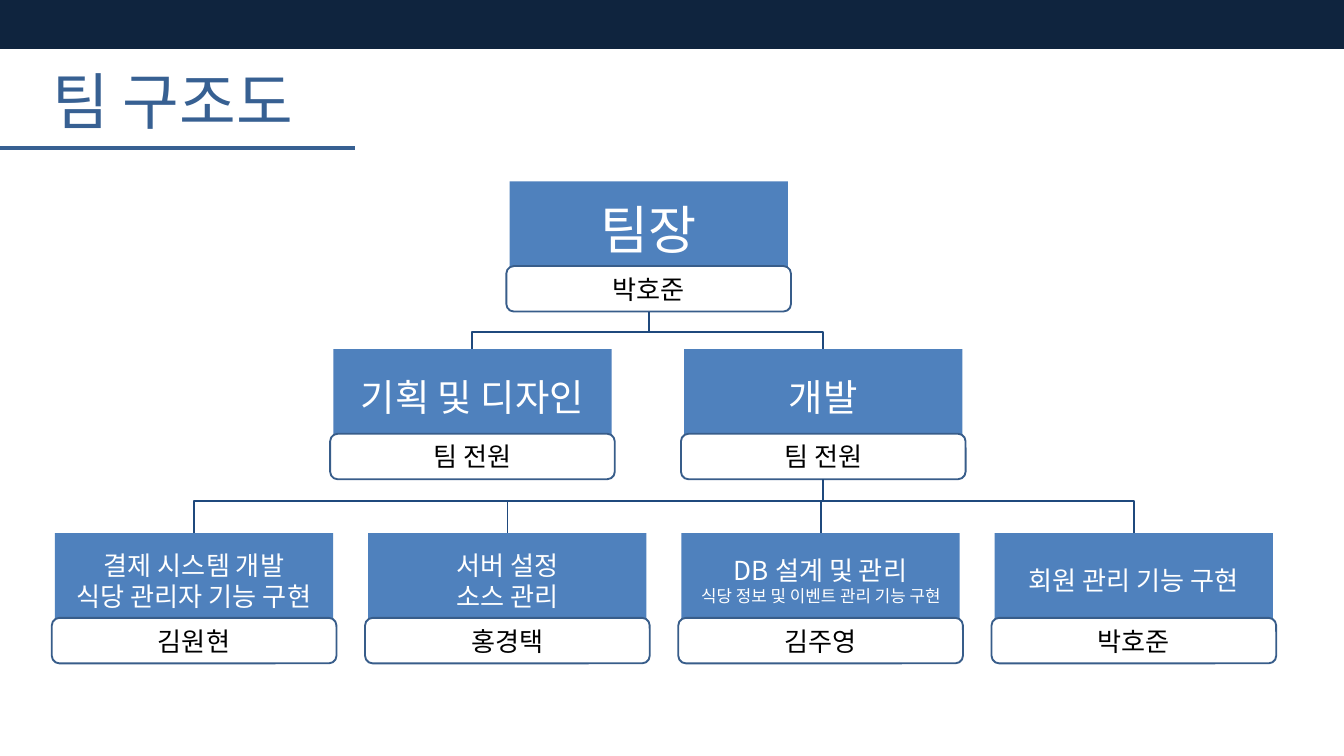
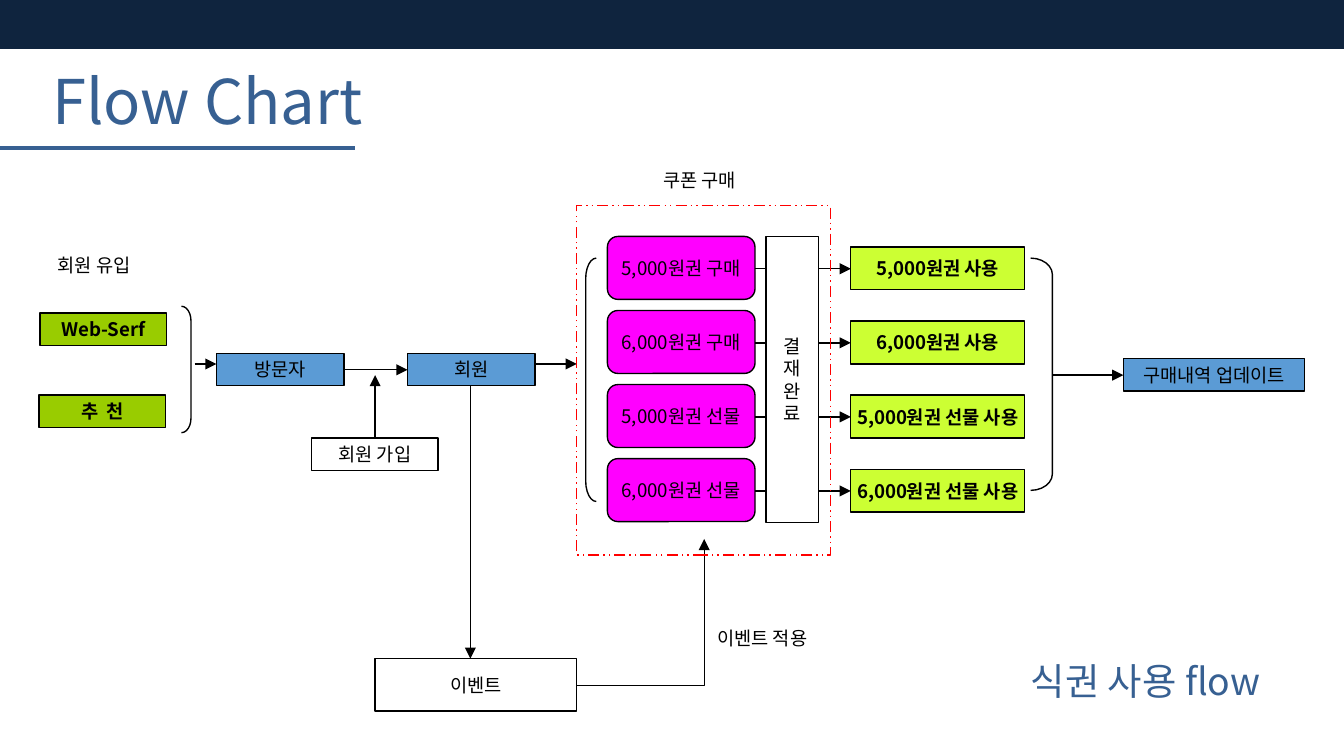
from dataclasses import dataclass
from typing import Optional

from pptx import Presentation
from pptx.dml.color import RGBColor as RGB
from pptx.enum.dml import MSO_LINE as DASH
from pptx.enum.shapes import MSO_CONNECTOR as CONN, MSO_SHAPE as SHAPE
from pptx.enum.text import MSO_ANCHOR as ANCHOR, MSO_AUTO_SIZE as AUTO, PP_ALIGN as ALIGN
from pptx.oxml.xmlchemy import OxmlElement
from pptx.util import Cm, Pt

COLORS = {
    "navy": "0F243E", "title": "376092", "white": "FFFFFF", "black": "000000",
    "blue": "4F81BD", "edge": "385D8A", "link": "1F497D", "green": "99CC00",
    "lime": "CCFF33", "sky": "5B9BD5", "pink": "FF00FF", "red": "FF0000",
}
FONT = "Noto Sans CJK KR"
WIDTH, HEIGHT = 25.4, 14.29
BAND = 0.93
TIGHT = {"margin_left": Cm(0.18), "margin_right": Cm(0.18),
         "margin_top": Cm(0.1), "margin_bottom": Cm(0.1)}


@dataclass
class Box:
    x: float
    y: float
    w: float
    h: float
    text: str = ""
    fill: Optional[str] = None
    line: Optional[str] = "black"
    shape: SHAPE = SHAPE.RECTANGLE
    size: float = 10
    bold: bool = False
    wrap: bool = False
    weight: float = 0.75
    adj: Optional[float] = None
    last_size: Optional[float] = None


@dataclass
class Line:
    x1: float
    y1: float
    x2: float
    y2: float
    color: str = "black"
    weight: float = 0.75
    arrow: bool = True
    bent: bool = False


@dataclass
class Role:
    x: float
    y: float
    title: str
    member: str
    size: float = 14
    last_size: Optional[float] = None

    @property
    def center(self) -> float:
        return self.x + ROLE_W / 2

    @property
    def bottom(self) -> float:
        return self.y + MEMBER_DY + MEMBER_H


ROLE_W, ROLE_H = 5.26, 1.78
MEMBER_W, MEMBER_H, MEMBER_DY = 5.38, 0.86, 1.6


def rgb(name: str) -> RGB:
    return RGB.from_string(COLORS[name])


def set_all(obj, values: dict) -> None:
    for key, value in values.items():
        setattr(obj, key, value)


def write(tf, text: str, size: float, color: str, align=ALIGN.LEFT,
          bold: bool = False, last_size: Optional[float] = None) -> None:
    rows = text.split("\n")
    for i, row in enumerate(rows):
        p = tf.paragraphs[0] if i == 0 else tf.add_paragraph()
        p.alignment = align
        r = p.add_run()
        r.text = row
        pt = last_size if last_size and i == len(rows) - 1 else size
        set_all(r.font, {"name": FONT, "size": Pt(pt), "bold": bold})
        r.font.color.rgb = rgb(color)
        ea = OxmlElement("a:ea")
        ea.set("typeface", FONT)
        r.font._element.append(ea)


def add_box(slide, b: Box):
    sp = slide.shapes.add_shape(b.shape, Cm(b.x), Cm(b.y), Cm(b.w), Cm(b.h))
    sp.shadow.inherit = False
    if b.adj is not None:
        sp.adjustments[0] = b.adj
    if b.fill:
        sp.fill.solid()
        sp.fill.fore_color.rgb = rgb(b.fill)
    else:
        sp.fill.background()
    if b.line:
        sp.line.color.rgb = rgb(b.line)
        sp.line.width = Pt(b.weight)
    else:
        sp.line.fill.background()
    if b.text:
        tf = sp.text_frame
        set_all(tf, {"word_wrap": b.wrap, "vertical_anchor": ANCHOR.MIDDLE})
        color = "white" if b.fill == "blue" else "black"
        write(tf, b.text, b.size, color, ALIGN.CENTER, b.bold, b.last_size)
    return sp


def add_line(slide, ln: Line) -> None:
    sp = slide.shapes.add_connector(CONN.ELBOW if ln.bent else CONN.STRAIGHT,
                                    Cm(ln.x1), Cm(ln.y1), Cm(ln.x2), Cm(ln.y2))
    sp.line.color.rgb = rgb(ln.color)
    sp.line.width = Pt(ln.weight)
    spPr = sp._element.spPr
    if ln.bent:
        spPr.prstGeom.set("prst", "bentConnector2")
    if ln.arrow:
        end = OxmlElement("a:tailEnd")
        end.set("type", "triangle")
        sp.line._get_or_add_ln().append(end)
    spPr.append(OxmlElement("a:effectLst"))


def add_caption(slide, x: float, y: float, w: float, text: str) -> None:
    sp = slide.shapes.add_textbox(Cm(x), Cm(y), Cm(w), Cm(0.69))
    set_all(sp.text_frame, {"word_wrap": False, "auto_size": AUTO.SHAPE_TO_FIT_TEXT})
    write(sp.text_frame, text, 10, "black")


def add_slide(prs, title: str):
    slide = prs.slides.add_slide(prs.slide_layouts[5])
    slide.background.fill.solid()
    slide.background.fill.fore_color.rgb = rgb("navy")
    body = add_box(slide, Box(0, BAND, WIDTH, HEIGHT - BAND, fill="white", line=None))
    add_line(slide, Line(-0.03, 2.79, 6.71, 2.79, "title", 2.25, arrow=False))
    sp = slide.shapes.title
    set_all(sp, {"left": Cm(0.81), "top": Cm(1.09), "width": Cm(8.2), "height": Cm(1.6)})
    set_all(sp.text_frame, {**TIGHT, "word_wrap": True, "vertical_anchor": ANCHOR.TOP,
                            "auto_size": AUTO.SHAPE_TO_FIT_TEXT})
    write(sp.text_frame, title, 33, "title")
    body._element.addnext(sp._element)
    return slide


def add_role(slide, role: Role) -> None:
    add_box(slide, Box(role.x, role.y, ROLE_W, ROLE_H, role.title, "blue", None,
                       size=role.size, wrap=True, last_size=role.last_size))
    add_box(slide, Box(role.x - (MEMBER_W - ROLE_W) / 2, role.y + MEMBER_DY,
                       MEMBER_W, MEMBER_H, role.member, "white", "edge",
                       SHAPE.ROUNDED_RECTANGLE, 14, wrap=True, weight=1))


def link_roles(slide, parent: Role, children: list[Role], rail: float) -> None:
    style = {"color": "link", "weight": 1, "arrow": False}
    hub = parent.center
    add_line(slide, Line(hub, parent.bottom, hub, rail, **style))
    for child in children:
        outer = child in (children[0], children[-1])
        start = hub if outer else child.center
        add_line(slide, Line(start, rail, child.center, child.y, bent=outer, **style))


def build_team(prs) -> None:
    slide = add_slide(prs, "팀 구조도")
    leader = Role(9.63, 3.43, "팀장", "박호준", 28)
    design = Role(6.3, 6.6, "기획 및 디자인", "팀 전원", 20)
    dev = Role(12.93, 6.6, "개발", "팀 전원", 20)
    tasks = [
        ("결제 시스템 개발\n식당 관리자 기능 구현", "김원현", None),
        ("서버 설정\n소스 관리", "홍경택", None),
        ("DB 설계 및 관리\n식당 정보 및 이벤트 관리 기능 구현", "김주영", 9),
        ("회원 관리 기능 구현", "박호준", None),
    ]
    team = [Role(1.04 + 5.92 * i, 10.08, title, member, last_size=last)
            for i, (title, member, last) in enumerate(tasks)]
    for role in [leader, design, dev, *team]:
        add_role(slide, role)
    link_roles(slide, leader, [design, dev], 6.27)
    link_roles(slide, dev, team, 9.47)


def build_flow(prs) -> None:
    slide = add_slide(prs, "Flow Chart")
    for ln in [
        Line(3.68, 6.88, 4.09, 6.88),
        Line(6.5, 6.99, 7.7, 6.99),
        Line(7.09, 8.48, 7.09, 7.09),
        Line(10.08, 6.88, 10.9, 6.88),
        Line(19.89, 7.09, 21.23, 7.09),
        Line(8.89, 7.29, 8.89, 12.45, weight=0.5),
        Line(10.9, 12.95, 13.31, 10.19, weight=0.5, bent=True),
    ]:
        add_line(slide, ln)

    coupons = ["5,000원권 구매", "6,000원권 구매", "5,000원권 선물", "6,000원권 선물"]
    uses = ["5,000원권 사용", "6,000원권 사용", "5,000원권 선물 사용", "6,000원권 선물 사용"]
    for i, (coupon, use) in enumerate(zip(coupons, uses)):
        dy = 1.4 * i
        add_box(slide, Box(11.48, 4.47 + dy, 2.79, 1.19, coupon, "pink",
                           shape=SHAPE.ROUNDED_RECTANGLE))
        add_box(slide, Box(16.08, 4.67 + dy, 3.28, 0.81, use, "lime", bold=True))
        add_line(slide, Line(14.27, 5.08 + dy, 16.08, 5.08 + dy))

    for b in [
        Box(0.76, 5.92, 2.39, 0.61, "Web-Serf", "green", bold=True),
        Box(0.74, 7.47, 2.39, 0.61, "추  천", "green", bold=True),
        Box(4.09, 6.68, 2.41, 0.61, "방문자", "sky"),
        Box(7.7, 6.68, 2.41, 0.61, "회원", "sky"),
        Box(21.23, 6.78, 3.43, 0.61, "구매내역 업데이트", "sky"),
        Box(5.89, 8.28, 2.39, 0.61, "회원 가입", "white"),
        Box(7.09, 12.45, 3.81, 0.99, "이벤트", "white", wrap=True),
        Box(14.48, 4.47, 0.99, 5.41, "결\n재\n완\n료", "white"),
        Box(3.43, 5.79, 0.18, 2.39, shape=SHAPE.RIGHT_BRACKET, adj=1.51),
        Box(11.07, 4.88, 0.2, 4.6, shape=SHAPE.LEFT_BRACKET, adj=1.93),
        Box(19.48, 4.88, 0.41, 4.39, shape=SHAPE.RIGHT_BRACKET, adj=0.76),
    ]:
        add_box(slide, b)
    frame = add_box(slide, Box(10.9, 3.89, 4.8, 6.6, line="red"))
    frame.line.dash_style = DASH.DASH_DOT_DOT

    add_caption(slide, 12.29, 3.07, 2.16, "쿠폰 구매")
    add_caption(slide, 0.84, 4.67, 2.18, "회원 유입")
    add_caption(slide, 13.31, 11.73, 2.46, "이벤트 적용")
    sp = slide.shapes.add_textbox(Cm(19.3), Cm(12.34), Cm(5.21), Cm(1.04))
    set_all(sp.text_frame, {**TIGHT, "word_wrap": True})
    write(sp.text_frame, "식권 사용 flow", 20, "title")


prs = Presentation()
set_all(prs, {"slide_width": Cm(WIDTH), "slide_height": Cm(HEIGHT)})
build_team(prs)
build_flow(prs)
prs.save("out.pptx")
